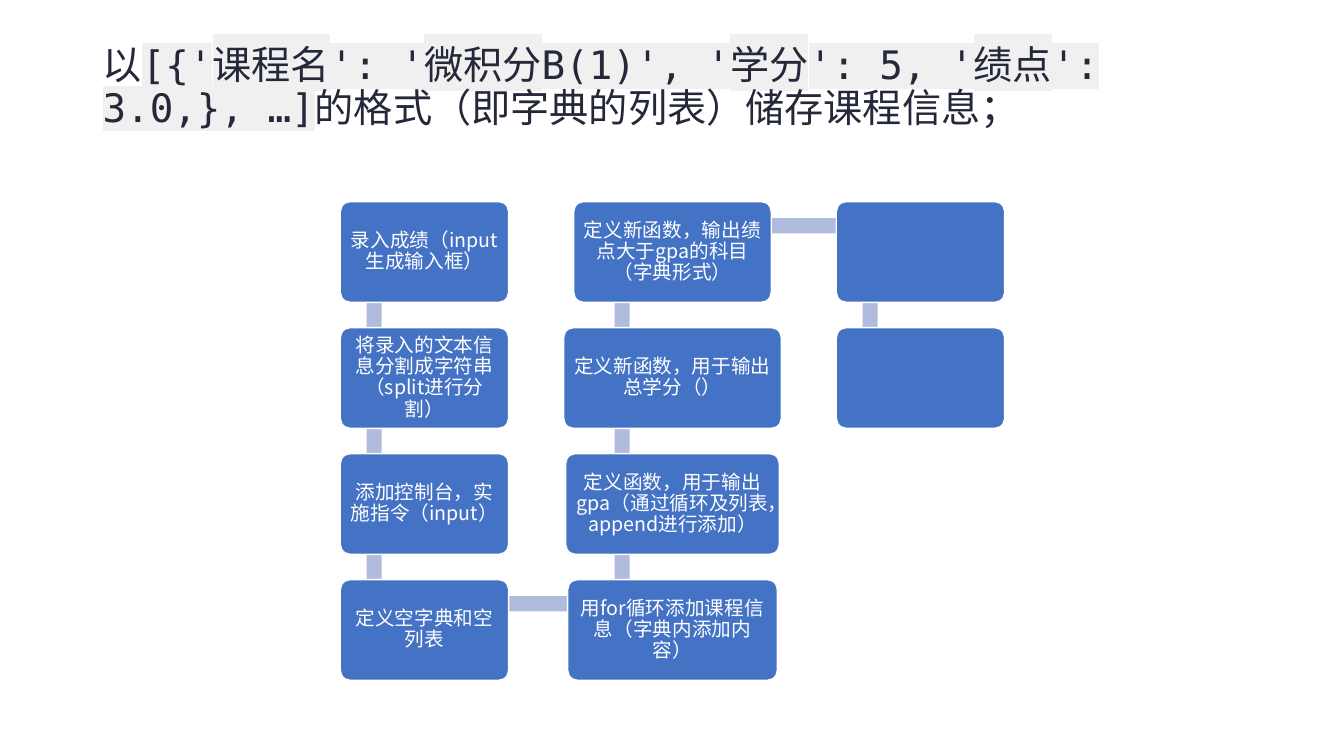
from itertools import pairwise

from lxml import etree
from pptx import Presentation
from pptx.dml.color import RGBColor
from pptx.enum.shapes import MSO_SHAPE
from pptx.enum.text import MSO_ANCHOR, PP_ALIGN
from pptx.oxml.ns import qn
from pptx.util import Inches, Pt

WHITE = RGBColor(0xFF, 0xFF, 0xFF)
INK = RGBColor(0x25, 0x28, 0x39)
CODE_GREY = RGBColor(0xF0, 0xF0, 0xF0)
STEP_BLUE = RGBColor(0x44, 0x72, 0xC4)
LINK_BLUE = RGBColor(0xB0, 0xBC, 0xDE)

CHINESE_FONT = "Noto Sans CJK SC"
CODE_FONT = "DejaVu Sans Mono"
LINE_SPACING = 0.9

TITLE = [
    ("以", CHINESE_FONT, None),
    ("[{'课程名': '微积分B(1)', '学分': 5, '绩点': 3.0,}, …]", CODE_FONT, CODE_GREY),
    ("的格式（即字典的列表）储存课程信息；", CHINESE_FONT, None),
]

# Steps in reading order: text and box width in inches
STEPS = [
    ("录入成绩（input生成输入框）", 1.67),
    ("将录入的文本信息分割成字符串（split进行分割）", 1.67),
    ("添加控制台，实施指令（input）", 1.67),
    ("定义空字典和空列表", 1.67),
    ("用for循环添加课程信息（字典内添加内容）", 2.08),
    ("定义函数，用于输出gpa（通过循环及列表，append进行添加）", 2.12),
    ("定义新函数，用于输出总学分（）", 2.16),
    ("定义新函数，输出绩点大于gpa的科目（字典形式）", 1.96),
    ("", 1.67),
    ("", 1.67),
]
ROWS = 4
FIRST_CENTRE, COLUMN_PITCH = 4.21, 2.46
FIRST_TOP, ROW_PITCH = 2, 1.25
STEP_HEIGHT = 1
LINK_THICKNESS = 0.15


def step_position(index):
    """Centre x and top y of a step; every second column runs upwards."""
    column, row = divmod(index, ROWS)
    if column % 2:
        row = ROWS - 1 - row
    return FIRST_CENTRE + column * COLUMN_PITCH, FIRST_TOP + row * ROW_PITCH


def add_span(para, text, size, colour, font=CHINESE_FONT, highlight=None):
    span = para.add_run()
    span.text = text
    for name, value in {"size": Pt(size), "name": font}.items():
        setattr(span.font, name, value)
    span.font.color.rgb = colour
    latin = span.font._element.find(qn("a:latin"))
    east_asian = etree.Element(qn("a:ea"), typeface=CHINESE_FONT)
    latin.addnext(east_asian)
    if highlight is not None:
        marker = etree.Element(qn("a:highlight"))
        etree.SubElement(marker, qn("a:srgbClr"), val=str(highlight))
        latin.addprevious(marker)


def format_frame(frame, left, top, right, bottom):
    margins = {
        "margin_left": Inches(left),
        "margin_top": Inches(top),
        "margin_right": Inches(right),
        "margin_bottom": Inches(bottom),
    }
    settings = {"word_wrap": True, "vertical_anchor": MSO_ANCHOR.MIDDLE}
    for name, value in (margins | settings).items():
        setattr(frame, name, value)


def add_block(page, kind, left, top, width, height, fill):
    block = page.shapes.add_shape(
        kind, Inches(left), Inches(top), Inches(width), Inches(height)
    )
    block.shadow.inherit = False
    block.fill.solid()
    block.fill.fore_color.rgb = fill
    block.line.fill.background()
    return block


def add_title(page):
    box = page.shapes.add_textbox(
        Inches(0.92), Inches(0.4), Inches(11.5), Inches(1.45)
    )
    format_frame(box.text_frame, 0.1, 0.05, 0.1, 0.55)
    para = box.text_frame.paragraphs[0]
    para.line_spacing = LINE_SPACING
    for text, font, highlight in TITLE:
        add_span(para, text, 28, INK, font, highlight)


def add_link(page, start, end):
    """Bar between the anchor points of two neighbouring steps."""
    (start_x, start_y), (end_x, end_y) = start, end
    across = start_y == end_y
    left = min(start_x, end_x) - 0.5
    top = min(start_y, end_y) + 0.24
    if across:
        top -= LINK_THICKNESS / 2
        width, height = abs(end_x - start_x), LINK_THICKNESS
    else:
        left -= LINK_THICKNESS / 2
        width, height = LINK_THICKNESS, abs(end_y - start_y)
    add_block(page, MSO_SHAPE.RECTANGLE, left, top, width, height, LINK_BLUE)


def add_step(page, centre, top, width, text):
    step = add_block(page, MSO_SHAPE.ROUNDED_RECTANGLE, centre - width / 2, top,
                     width, STEP_HEIGHT, STEP_BLUE)
    step.adjustments[0] = 0.1
    step.line.color.rgb = WHITE
    step.line.width = Pt(1)
    if text:
        # The preset's rounded corners already add about 0.03 to each inset
        format_frame(step.text_frame, 0.06, 0.06, 0.06, 0.06)
        para = step.text_frame.paragraphs[0]
        para.alignment = PP_ALIGN.CENTER
        para.line_spacing = LINE_SPACING
        add_span(para, text, 14, WHITE)


def main():
    deck = Presentation()
    deck.slide_width, deck.slide_height = Inches(13.33), Inches(7.5)
    page = deck.slides.add_slide(deck.slide_layouts[6])
    add_title(page)
    positions = [step_position(index) for index in range(len(STEPS))]
    for start, end in pairwise(positions):
        add_link(page, start, end)
    for (centre, top), (text, width) in zip(positions, STEPS):
        add_step(page, centre, top, width, text)
    deck.save("out.pptx")


if __name__ == "__main__":
    main()
